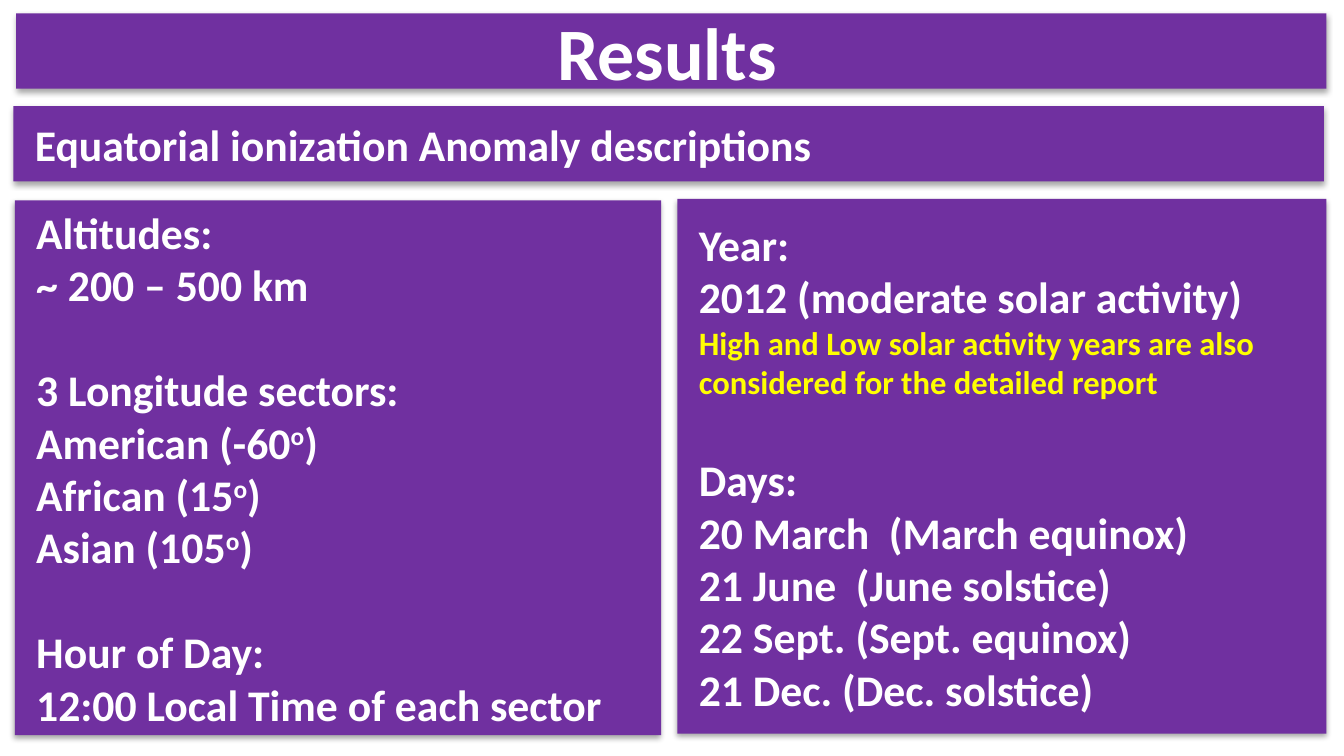
import pptx
import pptx.dml.color
import pptx.enum.shapes
import pptx.enum.text
import pptx.oxml
import pptx.oxml.ns
import pptx.util
from pptx.util import Inches

COLORS = {"panel": "7030A0", "text": "FFFFFF", "note": "FFFF00", "shadow": "000000"}
FONT = "Calibri"
TITLE_SIZE, BODY_SIZE, NOTE_SIZE = 39.6, 23.4, 17.5
GROUP_GAP = 28  # points between groups of lines

TITLE = "Results "
SUBTITLE = "Equatorial ionization Anomaly descriptions"
NOTE = "High and Low solar activity years are also considered for the detailed report"

# Each panel is a list of groups of lines; ^ surrounds superscript text.
SCOPE = [
    ["Altitudes:", "~ 200 – 500 km"],
    ["3 Longitude sectors:", "American (-60^o^)", "African (15^o^)", "Asian (105^o^)"],
    ["Hour of Day:", "12:00 Local Time of each sector"],
]
DATES = [
    ["Year:", "2012 (moderate solar activity)", NOTE],
    ["Days:", "20 March  (March equinox)", "21 June  (June solstice)",
     "22 Sept. (Sept. equinox)", "21 Dec. (Dec. solstice)"],
]

# left, top, width, height in inches; groups; size; centred
PANELS = [
    ((0.12, 0.1, 9.75, 0.56), [[TITLE]], TITLE_SIZE, True),
    ((0.1, 0.79, 9.75, 0.56), [[SUBTITLE]], BODY_SIZE, False),
    ((0.11, 1.49, 4.81, 3.98), SCOPE, BODY_SIZE, False),
    ((5.04, 1.48, 4.83, 3.98), DATES, BODY_SIZE, False),
]


def rgb(name):
    return pptx.dml.color.RGBColor.from_string(COLORS[name])


def add_shadow(panel):
    panel.shadow.inherit = False
    effects = panel._element.spPr.find(pptx.oxml.ns.qn("a:effectLst"))
    effects.append(pptx.oxml.parse_xml(
        f'<a:outerShdw {pptx.oxml.ns.nsdecls("a")} blurRad="{pptx.util.Pt(3.1)}" '
        f'dist="{pptx.util.Pt(1.8)}" dir="5400000" rotWithShape="0">'
        f'<a:srgbClr val="{COLORS["shadow"]}"><a:alpha val="35000"/></a:srgbClr>'
        '</a:outerShdw>'))


def write_line(paragraph, line, size):
    for index, piece in enumerate(line.split("^")):
        run = paragraph.add_run()
        run.text = piece
        run.font.name = FONT
        run.font.bold = True
        run.font.size = pptx.util.Pt(NOTE_SIZE if line == NOTE else size)
        run.font.color.rgb = rgb("note" if line == NOTE else "text")
        if index % 2:
            run._r.get_or_add_rPr().set("baseline", "30000")


def add_panel(slide, box, groups, size, centred):
    panel = slide.shapes.add_shape(
        pptx.enum.shapes.MSO_SHAPE.RECTANGLE, *map(Inches, box))
    panel.fill.solid()
    panel.fill.fore_color.rgb = rgb("panel")
    panel.line.fill.background()
    add_shadow(panel)

    frame = panel.text_frame
    frame.word_wrap = True
    frame.vertical_anchor = pptx.enum.text.MSO_ANCHOR.MIDDLE
    frame.margin_left = Inches(0.16)
    align = pptx.enum.text.PP_ALIGN
    paragraph = frame.paragraphs[0]
    for group_index, group in enumerate(groups):
        for line_index, line in enumerate(group):
            if group_index or line_index:
                paragraph = frame.add_paragraph()
            paragraph.alignment = align.CENTER if centred else align.LEFT
            if group_index and not line_index:
                paragraph.space_before = pptx.util.Pt(GROUP_GAP)
            write_line(paragraph, line, size)


def main():
    deck = pptx.Presentation()
    deck.slide_width = Inches(10)
    deck.slide_height = deck.slide_width * 9 // 16
    slide = deck.slides.add_slide(deck.slide_layouts[6])
    for panel in PANELS:
        add_panel(slide, *panel)
    deck.save("out.pptx")


if __name__ == "__main__":
    main()
